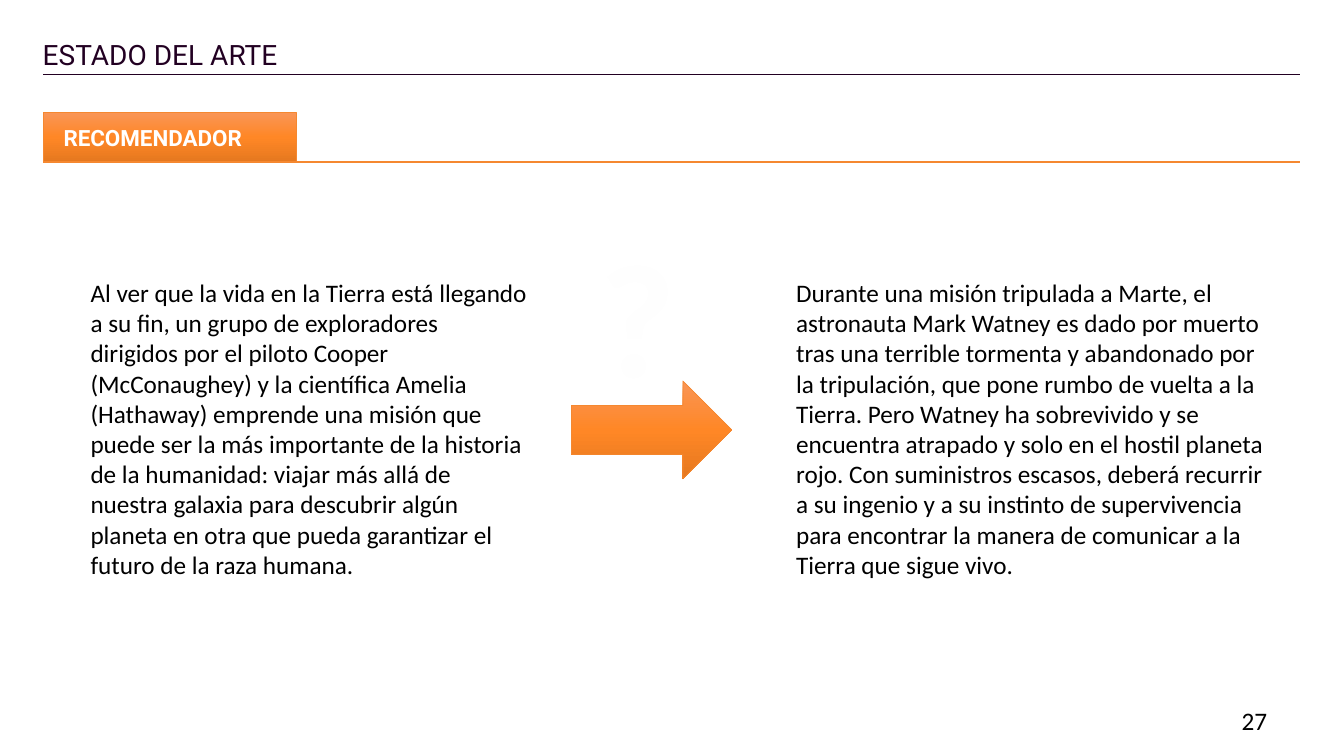
from dataclasses import dataclass

from lxml import etree
from pptx import Presentation
from pptx.dml.color import RGBColor
from pptx.enum.shapes import MSO_CONNECTOR, MSO_SHAPE
from pptx.enum.text import MSO_ANCHOR, PP_ALIGN
from pptx.oxml import parse_xml
from pptx.oxml.ns import nsdecls, qn
from pptx.util import Pt

STRAIGHT = MSO_CONNECTOR.STRAIGHT
RECTANGLE = MSO_SHAPE.RECTANGLE
RIGHT_ARROW = MSO_SHAPE.RIGHT_ARROW
MIDDLE = MSO_ANCHOR.MIDDLE
LEFT, RIGHT = PP_ALIGN.LEFT, PP_ALIGN.RIGHT

PLUM = RGBColor(0x22, 0x00, 0x22)
ORANGE = RGBColor(0xF5, 0x88, 0x30)
PEACH = RGBColor(0xF9, 0x95, 0x56)
BRIGHT = RGBColor(0xFF, 0x87, 0x26)
BURNT = RGBColor(0xE5, 0x78, 0x1F)
WHITE = RGBColor(0xFF, 0xFF, 0xFF)
OFF_WHITE = RGBColor(0xFE, 0xFE, 0xFE)
BLACK = RGBColor(0x00, 0x00, 0x00)

RULE_LEFT, RULE_RIGHT = 31, 928.8
BODY_TOP, BODY_HEIGHT = 194.4, 225.4


@dataclass
class Label:
    text: str
    left: float
    top: float
    width: float
    height: float
    size: float = 18
    font: str = "Calibri"
    color: RGBColor = BLACK
    bold: bool = False
    align: PP_ALIGN = LEFT
    line_spacing: float = 1.0


@dataclass
class Rule:
    y: float
    color: RGBColor
    weight: float


TITLE = Label("ESTADO DEL ARTE", 23.4, 25.9, 913.7, 30.2, 20, "Roboto", PLUM,
              line_spacing=0.9)
TAB = Label("RECOMENDADOR", RULE_LEFT, 80.6, 180.7, 35.3, 16, "Roboto", WHITE, True)
ARROW = Label("", 408.2, 272.2, 114.5, 69.8)
QUESTION = Label("?", 421.9, 151.2, 49, 146.9, 115, color=OFF_WHITE, bold=True)
TEXTS = [
    TITLE,
    Label("Al ver que la vida en la Tierra está llegando a su fin, un grupo de "
          "exploradores dirigidos por el piloto Cooper (McConaughey) y la científica "
          "Amelia (Hathaway) emprende una misión que puede ser la más importante de la "
          "historia de la humanidad: viajar más allá de nuestra galaxia para descubrir "
          "algún planeta en otra que pueda garantizar el futuro de la raza humana.",
          57.6, BODY_TOP, 326.2, BODY_HEIGHT),
    Label("Durante una misión tripulada a Marte, el astronauta Mark Watney es dado por "
          "muerto tras una terrible tormenta y abandonado por la tripulación, que pone "
          "rumbo de vuelta a la Tierra. Pero Watney ha sobrevivido y se encuentra "
          "atrapado y solo en el hostil planeta rojo. Con suministros escasos, deberá "
          "recurrir a su ingenio y a su instinto de supervivencia para encontrar la "
          "manera de comunicar a la Tierra que sigue vivo.",
          561.6, BODY_TOP, 352.1, BODY_HEIGHT),
    Label("27", 688.3, 500.4, 223.9, 28.8, align=RIGHT),
]
RULES = [Rule(53.3, PLUM, 1.25), Rule(115.9, ORANGE, 1.5)]


def write(tf, label: Label):
    """Fill a text frame with one label and return its run."""
    tf.word_wrap = True
    p = tf.paragraphs[0]
    r = p.add_run()
    r.text = label.text
    p.alignment = label.align
    p.line_spacing = label.line_spacing
    p.font.size = Pt(label.size)
    p.font.name = label.font
    p.font.bold = label.bold
    p.font.color.rgb = label.color
    return r


def add_text(s, label: Label):
    box = s.shapes.add_textbox(Pt(label.left), Pt(label.top),
                               Pt(label.width), Pt(label.height))
    return write(box.text_frame, label)


def add_rule(s, rule: Rule) -> None:
    line = s.shapes.add_connector(STRAIGHT, Pt(RULE_LEFT), Pt(rule.y),
                                  Pt(RULE_RIGHT), Pt(rule.y))
    line.line.color.rgb = rule.color
    line.line.width = Pt(rule.weight)
    etree.SubElement(line._element.spPr, qn("a:effectLst"))


def add_gradient_shape(s, kind: MSO_SHAPE, label: Label):
    sp = s.shapes.add_shape(kind, Pt(label.left), Pt(label.top),
                            Pt(label.width), Pt(label.height))
    sp.shadow.inherit = False
    sp.line.color.rgb = ORANGE
    sp.line.width = Pt(0.5)
    sp.fill.gradient()
    sp.fill.gradient_angle = 270
    stops = sp._element.spPr.find(qn("a:gradFill")).find(qn("a:gsLst"))
    stops.clear()
    for position, color in ((0, PEACH), (50, BRIGHT), (100, BURNT)):
        stops.append(parse_xml(f'<a:gs {nsdecls("a")} pos="{position * 1000}">'
                               f'<a:srgbClr val="{color}"/></a:gs>'))
    return sp


def outline(r, color: RGBColor, weight: float) -> None:
    """Draw the letter shapes of a run with a coloured edge."""
    rPr = r._r.get_or_add_rPr()
    rPr.set("spc", "50")
    rPr.insert(0, parse_xml(f'<a:ln {nsdecls("a")} w="{Pt(weight)}"><a:solidFill>'
                            f'<a:srgbClr val="{color}"/></a:solidFill></a:ln>'))


def main() -> None:
    prs = Presentation()
    prs.slide_width, prs.slide_height = Pt(960), Pt(540)
    s = prs.slides.add_slide(prs.slide_layouts[6])

    # Section tab
    tab = add_gradient_shape(s, RECTANGLE, TAB)
    tf = tab.text_frame
    tf.margin_left = Pt(14.4)
    tf.vertical_anchor = MIDDLE
    write(tf, TAB)

    # Rules, title, both synopses and page number
    for rule in RULES:
        add_rule(s, rule)
    for label in TEXTS:
        add_text(s, label)

    # Arrow with the question mark above it
    add_gradient_shape(s, RIGHT_ARROW, ARROW)
    r = add_text(s, QUESTION)
    r.font.color.rgb = OFF_WHITE
    outline(r, ORANGE, 0.75)

    prs.save("out.pptx")


if __name__ == "__main__":
    main()
